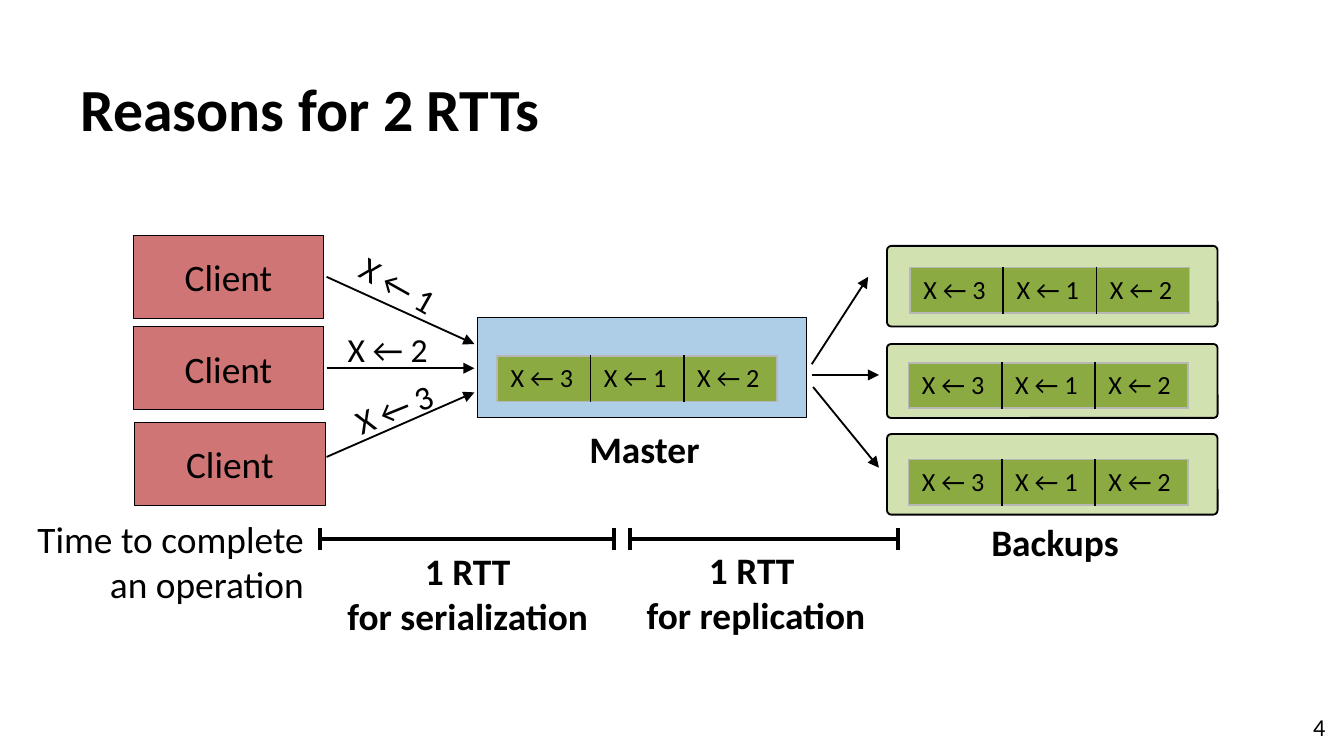
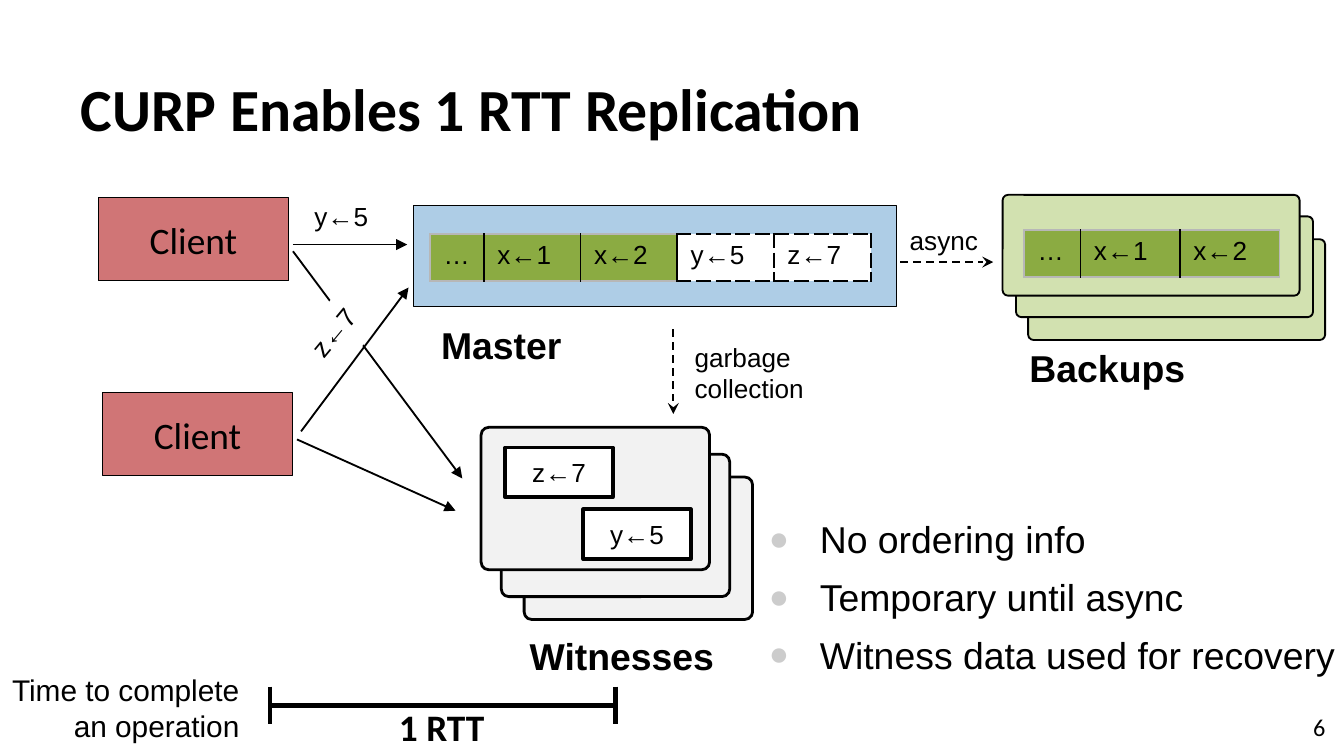
from lxml.etree import SubElement
from pptx import Presentation
from pptx.dml.color import RGBColor
from pptx.enum.dml import MSO_LINE
from pptx.enum.shapes import MSO_CONNECTOR, MSO_SHAPE
from pptx.enum.text import MSO_ANCHOR, MSO_AUTO_SIZE, PP_ALIGN
from pptx.oxml.ns import qn
from pptx.util import Emu, Inches, Pt

BLACK = RGBColor(0x00, 0x00, 0x00)
WHITE = RGBColor(0xFF, 0xFF, 0xFF)
RED = RGBColor(0xD0, 0x75, 0x76)
BLUE = RGBColor(0xAE, 0xCD, 0xE6)
PALE_GREEN = RGBColor(0xD2, 0xE1, 0xB0)
GREEN = RGBColor(0x8B, 0xAB, 0x42)
PALE_GREY = RGBColor(0xF2, 0xF2, 0xF2)
EDGE_GREY = RGBColor(0xB7, 0xB7, 0xB7)
BULLET_GREY = RGBColor(0xCC, 0xCC, 0xCC)

RECT, ROUND = MSO_SHAPE.RECTANGLE, MSO_SHAPE.ROUNDED_RECTANGLE
STRAIGHT = MSO_CONNECTOR.STRAIGHT
LEFT, CENTER, RIGHT = PP_ALIGN.LEFT, PP_ALIGN.CENTER, PP_ALIGN.RIGHT
TOP, MIDDLE, BOTTOM = MSO_ANCHOR.TOP, MSO_ANCHOR.MIDDLE, MSO_ANCHOR.BOTTOM
NO_FIT = MSO_AUTO_SIZE.NONE
DASH = MSO_LINE.DASH

SLIDE_W = Inches(10)
SLIDE_H = Emu(SLIDE_W * 9 // 16)
COLUMNS = 100  # the grid is square: rows are as high as columns are wide
TITLE_ONLY, TITLE_AND_BODY = 5, 1
CALIBRI, ARIAL = "Calibri", "Arial"
TIME_TEXT = "Time to complete\van operation"


def grid(*cells):
    """Turn grid columns or rows into slide lengths."""
    return [Emu(round(n * SLIDE_W / COLUMNS)) for n in cells]


def format_text(tf, size, font=CALIBRI, bold=False, align=LEFT, anchor=TOP,
                inset=None):
    tf.word_wrap = True
    tf.auto_size = NO_FIT
    tf.vertical_anchor = anchor
    if inset is not None:
        tf.margin_left = tf.margin_right = inset
        tf.margin_top = tf.margin_bottom = inset
    for p in tf.paragraphs:
        p.alignment = align
        for r in p.runs:
            r.font.size = Pt(size)
            r.font.name = font
            r.font.bold = bold
            r.font.color.rgb = BLACK


def add_label(slide, text, at, size, rotation=0, fill=None, **style):
    sp = slide.shapes.add_textbox(*grid(*at))
    sp.rotation = rotation
    if fill is not None:
        sp.fill.solid()
        sp.fill.fore_color.rgb = fill
    sp.text_frame.text = text
    format_text(sp.text_frame, size, **style)
    return sp


def add_caption(slide, text, at, **style):
    """Name a group of boxes in bold."""
    add_label(slide, text, at, 20, bold=True, inset=0, **style)


def add_box(slide, kind, at, fill, width):
    sp = slide.shapes.add_shape(kind, *grid(*at))
    sp.shadow.inherit = False
    sp.fill.solid()
    sp.fill.fore_color.rgb = fill
    sp.line.color.rgb = BLACK
    sp.line.width = Pt(width)
    if kind == ROUND:
        sp.adjustments[0] = 0.054
    return sp


def add_client(slide, left, top):
    sp = add_box(slide, RECT, (left, top, 14.2, 6.2), RED, 0.5)
    sp.text_frame.text = "Client"
    format_text(sp.text_frame, 20, align=CENTER, anchor=MIDDLE, inset=Inches(0.05))


def add_record(slide, text, left, top):
    sp = add_box(slide, RECT, (left, top, 8, 3.7), WHITE, 2)
    sp.text_frame.text = text
    format_text(sp.text_frame, 14, ARIAL, align=CENTER, anchor=MIDDLE)


def add_line(shapes, start, end, width=1, head=None, dash=None):
    c = shapes.add_connector(STRAIGHT, *grid(*start, *end))
    c.line.color.rgb = BLACK
    c.line.width = Pt(width)
    if dash is not None:
        c.line.dash_style = dash
    spPr = c.element.spPr
    if head:
        SubElement(spPr.find(qn("a:ln")), qn("a:tailEnd"), type=head)
    SubElement(spPr, qn("a:effectLst"))


def add_arrow(slide, start, end):
    add_line(slide.shapes, start, end, head="triangle")


def add_async_arrow(slide, start, end):
    add_line(slide.shapes, start, end, head="stealth", dash=DASH)


def add_time_span(slide, left, right, row, tick):
    """Draw a measuring bar with a tick at each end."""
    group = slide.shapes.add_group_shape()
    add_line(group.shapes, (left, row), (right, row), 2.25)
    for x in (right, left):
        add_line(group.shapes, (x, row - tick), (x, row + tick), 2.25)


def set_borders(cell, sides):
    """Set the (colour, dash) of the left, right, top and bottom borders."""
    tcPr = cell._tc.get_or_add_tcPr()
    for i, (side, (color, dash)) in enumerate(zip("LRTB", sides)):
        ln = SubElement(tcPr, qn(f"a:ln{side}"), w=str(Pt(1)))
        fill = SubElement(ln, qn("a:solidFill"))
        SubElement(fill, qn("a:srgbClr"), val=str(color))
        SubElement(ln, qn("a:prstDash"), val=dash)
        tcPr.insert(i, ln)


def add_log(slide, entries, left, top, widths, height, font, pending=0):
    """Draw a log whose last `pending` entries are not yet replicated."""
    count = len(entries)
    frame = slide.shapes.add_table(1, count, *grid(left, top, sum(widths), height))
    table = frame.table
    table.first_row = table.horz_banding = False
    edge, inner, open_edge = (EDGE_GREY, "solid"), (BLACK, "solid"), (BLACK, "dash")
    for i, (entry, width) in enumerate(zip(entries, grid(*widths))):
        table.columns[i].width = width
        cell = table.cell(0, i)
        is_open = i >= count - pending
        cell.text = entry
        for r in cell.text_frame.paragraphs[0].runs:
            r.font.size = Pt(14)
            r.font.name = font
            r.font.color.rgb = BLACK
        cell.fill.solid()
        cell.fill.fore_color.rgb = WHITE if is_open else GREEN
        outer = open_edge if is_open else edge
        before = edge if i == 0 else inner
        after = outer if i == count - 1 else inner
        if is_open:
            after = open_edge
            before = open_edge if i > count - pending else inner
        set_borders(cell, (before, after, outer, outer))


def add_ordered_log(slide, left, top):
    add_log(slide, ("X ← 3", "X ← 1", "X ← 2"), left, top, [6.94] * 3, 3.3, CALIBRI)


def add_bullets(slide, items, at):
    body = slide.placeholders[1]
    body.left, body.top, body.width, body.height = grid(*at)
    tf = body.text_frame
    tf.text = "\n".join(items)
    format_text(tf, 20, ARIAL)
    for p in tf.paragraphs:
        p.space_before = Pt(7)
        pPr = p._p.get_or_add_pPr()
        pPr.set("marL", str(Inches(0.38)))
        pPr.set("indent", str(-Inches(0.38)))
        color = SubElement(pPr, qn("a:buClr"))
        SubElement(color, qn("a:srgbClr"), val=str(BULLET_GREY))
        SubElement(pPr, qn("a:buSzPct"), val="90000")
        SubElement(pPr, qn("a:buChar"), char="●")


def start_slide(prs, layout, title, number):
    """Add a slide with the shared title and page number."""
    slide = prs.slides.add_slide(prs.slide_layouts[layout])
    sp = slide.shapes.title
    sp.left, sp.top, sp.width, sp.height = grid(5, 2.25, 91.8, 9.4)
    sp.text_frame.text = title
    format_text(sp.text_frame, 32, bold=True, anchor=BOTTOM, inset=Inches(0.1))
    add_label(slide, number, (93.6, 51.9, 6, 4.3), 13, align=RIGHT,
              anchor=MIDDLE, inset=Inches(0.1))
    return slide


def build_reasons(prs):
    slide = start_slide(prs, TITLE_ONLY, "Reasons for 2 RTTs", "4")

    add_box(slide, RECT, (35.5, 23.6, 24.5, 7.5), BLUE, 0.5)
    add_ordered_log(slide, 37, 26.5)
    add_caption(slide, "Master", (42.4, 31.7, 11.1, 3.4), align=CENTER)

    for left, top in ((10, 31.4), (9.9, 24.3), (9.9, 17.5)):
        add_client(slide, left, top)
    for start, end in ((20.6, 25.6), (27.4, 27.4), (34, 29.2)):
        add_arrow(slide, (24.3, start), (35.3, end))
    for text, at, rotation in (("X ← 1", (25.5, 19.2, 8.3, 4), 29.4),
                               ("X ← 2", (24.5, 24, 8.7, 4), 0),
                               ("X ← 3", (24.6, 28.4, 9.4, 4), 337.9)):
        add_label(slide, text, at, 18, rotation, align=CENTER)

    for top, height, log_left, log_top in ((18.3, 6, 67.7, 19.9),
                                           (25.6, 5.5, 67.6, 27),
                                           (32.3, 6, 67.6, 34.2)):
        add_box(slide, ROUND, (66, top, 24.6, height), PALE_GREEN, 1)
        add_ordered_log(slide, log_left, log_top)
    add_caption(slide, "Backups", (70.1, 38.6, 16.8, 3.4), align=CENTER)
    for start, end in (((60.4, 27.1), (64.6, 20.6)),
                       ((60.4, 27.9), (65.4, 27.9)),
                       ((60.5, 28.8), (65.4, 34.8))):
        add_arrow(slide, start, end)

    add_label(slide, TIME_TEXT, (1.7, 37.9, 21.9, 7.7), 20, align=RIGHT)
    add_time_span(slide, 23.8, 45.7, 40.1, 0.8)
    add_time_span(slide, 46.9, 66.8, 40.1, 0.8)
    for text, at in (("1 RTT\vfor serialization", (22.4, 40.3, 24.8, 7.7)),
                     ("1 RTT \vfor replication", (44.5, 40.2, 23.5, 7.7))):
        add_label(slide, text, at, 20, bold=True, align=CENTER)


def build_curp(prs):
    slide = start_slide(prs, TITLE_AND_BODY, "CURP Enables 1 RTT Replication", "6")

    add_box(slide, RECT, (30.8, 15.3, 35.9, 7.5), BLUE, 0.5)
    add_log(slide, ("…", "x←1", "x←2", "y←5", "z←7"), 32, 17.4, [4] + [7.2] * 4,
            3.5, ARIAL, pending=2)
    add_caption(slide, "Master", (29.7, 24, 15.2, 3.4), font=ARIAL, align=CENTER)

    for left, top in ((76.5, 17.8), (75.6, 16.1), (74.6, 14.5)):
        add_box(slide, ROUND, (left, top, 22.1, 7.5), PALE_GREEN, 1)
    add_log(slide, ("…", "x←1", "x←2"), 76.2, 17.1, (4.2, 7.4, 7.4), 3.5, ARIAL)
    add_caption(slide, "Backups", (76.6, 25.7, 22, 3.4), font=ARIAL)

    for left, top in ((39, 35.5), (37.3, 33.8), (35.8, 31.8)):
        add_box(slide, ROUND, (left, top, 17, 10.6), PALE_GREY, 1.5)
    add_record(slide, "z←7", 37.6, 33.3)
    add_record(slide, "y←5", 43.4, 37.9)
    add_caption(slide, "Witnesses", (39.4, 47.1, 17, 3.4), font=ARIAL)

    add_client(slide, 7.6, 29.2)
    add_client(slide, 7.3, 14.7)
    add_arrow(slide, (21.8, 18.2), (30.3, 18.2))
    add_arrow(slide, (21.8, 18.7), (34.4, 35.6))
    add_label(slide, "y←5", (22.4, 14.4, 7.9, 4), 14, font=ARIAL)
    add_label(slide, "z←7", (21.7, 22.2, 7.9, 4), 14, 309.6, WHITE, font=ARIAL)
    add_arrow(slide, (22.1, 32.7), (33.9, 38))
    add_arrow(slide, (22.4, 32.1), (30.4, 21.4))

    add_async_arrow(slide, (67, 19.5), (73.9, 19.5))
    add_label(slide, "async", (66.7, 16.2, 9.3, 3.4), 14, font=ARIAL)
    add_async_arrow(slide, (50.1, 24.5), (50.1, 30.8))
    add_label(slide, "garbage\ncollection", (50.7, 24.9, 12.8, 5.7), 14, font=ARIAL)

    add_bullets(slide, ("No ordering info", "Temporary until async",
                        "Witness data used for recovery"), (56.2, 37.9, 45.3, 13.2))

    add_label(slide, TIME_TEXT, (-1.6, 49.5, 20.4, 6.4), 16, font=ARIAL, align=RIGHT)
    add_time_span(slide, 20.1, 45.8, 52.5, 1.4)
    rtt = add_label(slide, "1 RTT", (28.7, 51.9, 8.4, 4.4), 20, bold=True)
    rtt.text_frame.word_wrap = False


def main():
    prs = Presentation()
    prs.slide_width, prs.slide_height = SLIDE_W, SLIDE_H
    build_reasons(prs)
    build_curp(prs)
    prs.save("out.pptx")


if __name__ == "__main__":
    main()
